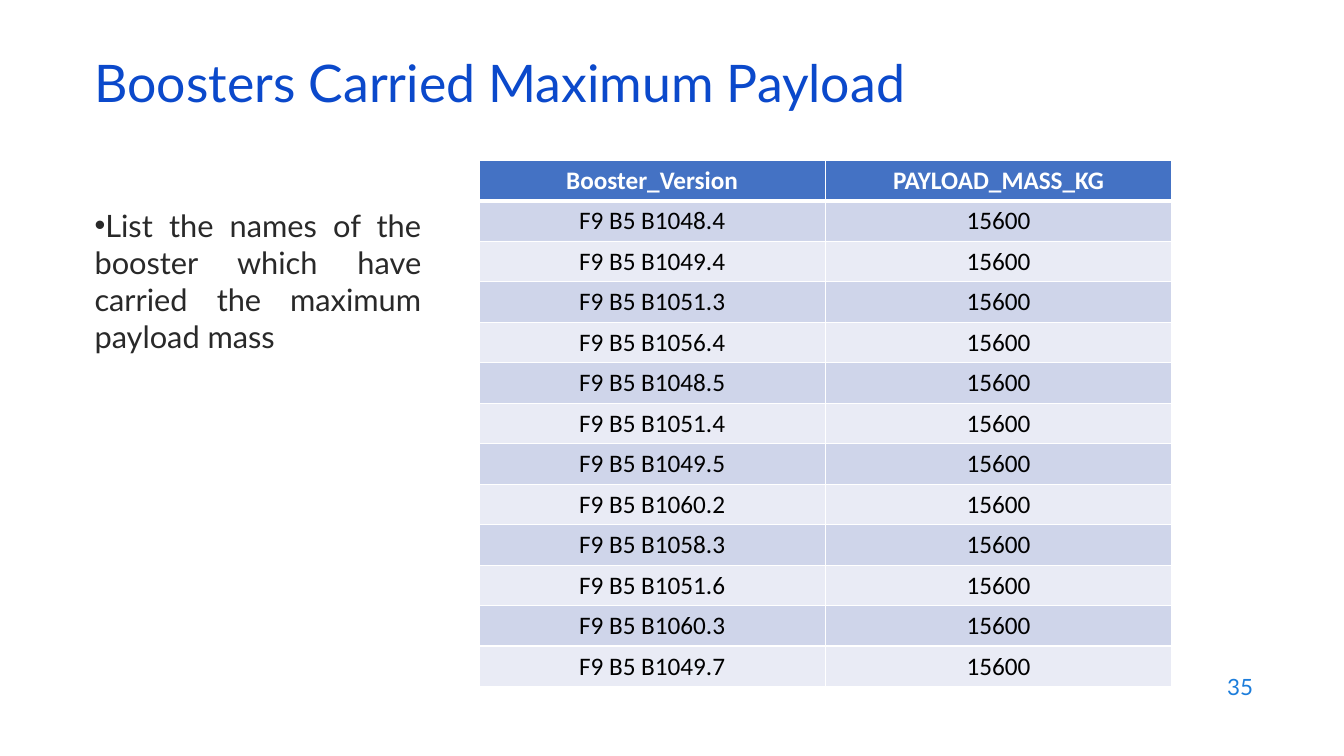
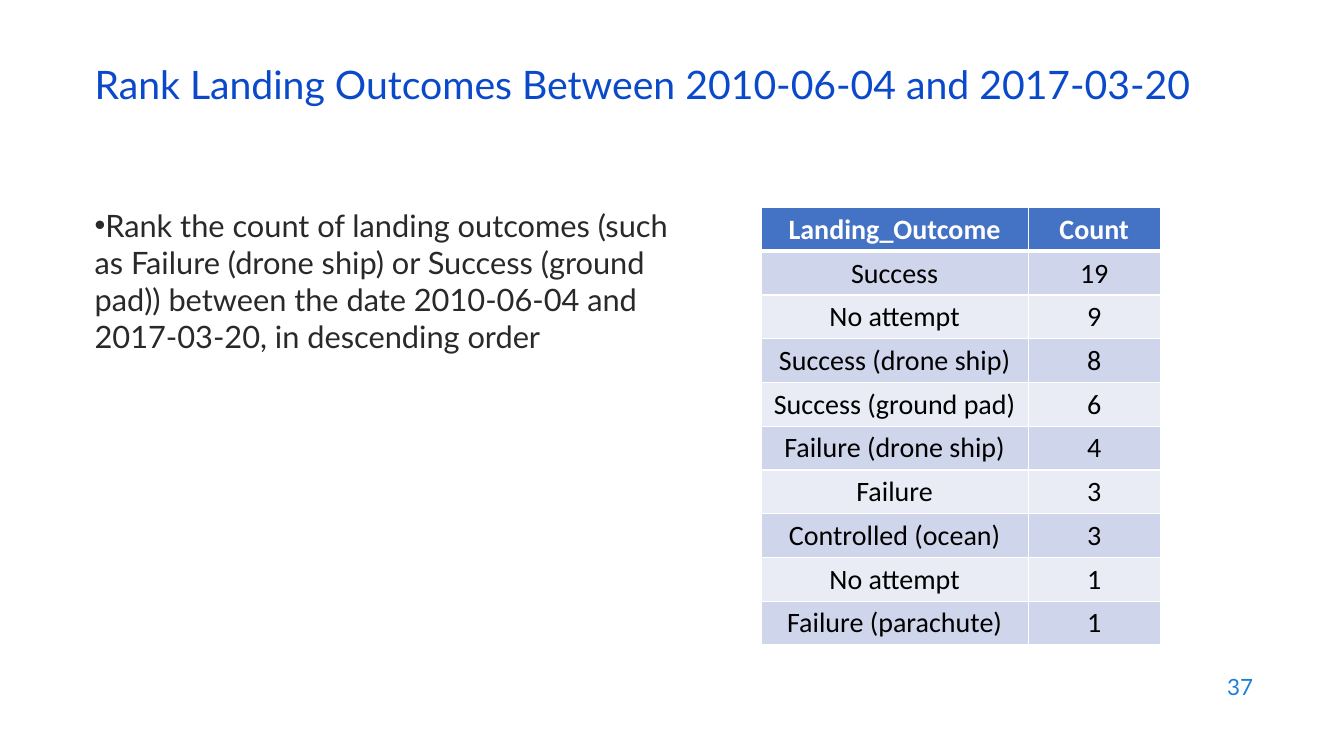
from dataclasses import dataclass

from lxml.etree import SubElement
from pptx import Presentation
from pptx.dml.color import RGBColor
from pptx.enum.text import MSO_ANCHOR, MSO_AUTO_SIZE, PP_ALIGN
from pptx.oxml.ns import qn
from pptx.slide import Slide
from pptx.util import Cm, Pt

COLOURS = {
    "title": "0B49CB",
    "body": "292929",
    "number": "1C7DDB",
    "header": "4472C4",
    "odd row": "CFD5EA",
    "even row": "E9EBF5",
    "white": "FFFFFF",
    "black": "000000",
}
TEXT_FONT, TABLE_FONT = "Lato", "Calibri"
LEFT = 2.13


@dataclass
class ResultTable:
    left: float
    top: float
    column_widths: list[float]
    row_height: float
    size: int
    rows: list[tuple[str, str]]


@dataclass
class QuerySlide:
    number: int
    title: str
    title_size: int
    task: str
    task_width: float
    task_align: PP_ALIGN
    result: ResultTable


BOOSTERS = ["B1048.4", "B1049.4", "B1051.3", "B1056.4", "B1048.5", "B1051.4",
            "B1049.5", "B1060.2", "B1058.3", "B1051.6", "B1060.3", "B1049.7"]

QUERY_SLIDES = [
    QuerySlide(
        35, "Boosters Carried Maximum Payload", 37,
        "List the names of the booster which have carried the maximum payload mass",
        8.74, PP_ALIGN.JUSTIFY,
        ResultTable(12.07, 4.04, [8.73, 8.73], 1.02, 18,
                    [("Booster_Version", "PAYLOAD_MASS_KG")]
                    + [(f"F9 B5 {booster}", "15600") for booster in BOOSTERS]),
    ),
    QuerySlide(
        37, "Rank Landing Outcomes Between 2010-06-04 and 2017-03-20", 28,
        "Rank the count of landing outcomes (such as Failure (drone ship) or Success "
        "(ground pad)) between the date 2010-06-04 and 2017-03-20, in descending order",
        15.62, PP_ALIGN.LEFT,
        ResultTable(19.18, 5.23, [6.73, 3.33], 1.1, 20, [
            ("Landing_Outcome", "Count"),
            ("Success", "19"),
            ("No attempt", "9"),
            ("Success (drone ship)", "8"),
            ("Success (ground pad)", "6"),
            ("Failure (drone ship)", "4"),
            ("Failure", "3"),
            ("Controlled (ocean)", "3"),
            ("No attempt", "1"),
            ("Failure (parachute)", "1"),
        ]),
    ),
]


def write(frame, text: str, size: int, colour: str, align: PP_ALIGN,
          font: str = TEXT_FONT, bold: bool = False):
    """Fill a text frame with one formatted paragraph and return that paragraph."""
    frame.word_wrap = True
    paragraph = frame.paragraphs[0]
    paragraph.text = text
    paragraph.alignment = align
    paragraph.font.name = font
    paragraph.font.size = Pt(size)
    paragraph.font.bold = bold
    paragraph.font.color.rgb = RGBColor.from_string(COLOURS[colour])
    return paragraph


def place(shape, left: float, top: float, width: float, height: float) -> None:
    shape.left, shape.top = Cm(left), Cm(top)
    shape.width, shape.height = Cm(width), Cm(height)


def add_title(slide: Slide, text: str, size: int) -> None:
    title = slide.shapes.title
    place(title, LEFT, 1.5, 29.2, 1.52)
    frame = title.text_frame
    frame.auto_size = MSO_AUTO_SIZE.NONE
    frame.vertical_anchor = MSO_ANCHOR.MIDDLE
    write(frame, text, size, "title", PP_ALIGN.LEFT).line_spacing = 0.7


def add_task(slide: Slide, text: str, width: float, align: PP_ALIGN) -> None:
    task = slide.placeholders[1]
    place(task, LEFT, 5.08, width, 12.22)
    task.text_frame.auto_size = MSO_AUTO_SIZE.NONE
    paragraph = write(task.text_frame, text, 22, "body", align)
    paragraph.space_before = Pt(0)
    properties = paragraph._p.get_or_add_pPr()
    properties.set("marL", "0")
    properties.set("indent", "0")


def add_number(slide: Slide, number: int) -> None:
    box = slide.shapes.add_textbox(Cm(24.21), Cm(16.74), Cm(7.62), Cm(1.12))
    box.text_frame.vertical_anchor = MSO_ANCHOR.MIDDLE
    write(box.text_frame, str(number), 16, "number", PP_ALIGN.RIGHT)


def set_borders(cell, widths: dict[str, int]) -> None:
    """Draw white borders; widths in points, keyed by side in schema order."""
    properties = cell._tc.get_or_add_tcPr()
    for position, (side, width) in enumerate(widths.items()):
        line = SubElement(properties, qn(f"a:ln{side}"), w=str(Pt(width)))
        fill = SubElement(line, qn("a:solidFill"))
        SubElement(fill, qn("a:srgbClr"), val=COLOURS["white"])
        properties.insert(position, line)


def add_result(slide: Slide, result: ResultTable) -> None:
    row_count, column_count = len(result.rows), len(result.column_widths)
    table = slide.shapes.add_table(
        row_count, column_count, Cm(result.left), Cm(result.top),
        Cm(sum(result.column_widths)), Cm(result.row_height * row_count)).table
    for column, width in zip(table.columns, result.column_widths):
        column.width = Cm(width)
    for r, values in enumerate(result.rows):
        table.rows[r].height = Cm(result.row_height)
        is_header = r == 0
        band = "header" if is_header else "odd row" if r % 2 else "even row"
        for c, value in enumerate(values):
            cell = table.cell(r, c)
            cell.vertical_anchor = MSO_ANCHOR.MIDDLE
            cell.fill.solid()
            cell.fill.fore_color.rgb = RGBColor.from_string(COLOURS[band])
            set_borders(cell, {"L": 1, "R": 1, "T": 3 if r == 1 else 1,
                               "B": 3 if is_header else 1})
            write(cell.text_frame, value, result.size,
                  "white" if is_header else "black", PP_ALIGN.CENTER,
                  TABLE_FONT, is_header)


def main() -> None:
    deck = Presentation()
    deck.slide_width, deck.slide_height = Cm(33.87), Cm(19.05)
    for query in QUERY_SLIDES:
        slide = deck.slides.add_slide(deck.slide_layouts[1])
        add_number(slide, query.number)
        add_task(slide, query.task, query.task_width, query.task_align)
        add_title(slide, query.title, query.title_size)
        add_result(slide, query.result)
    deck.save("out.pptx")


if __name__ == "__main__":
    main()
